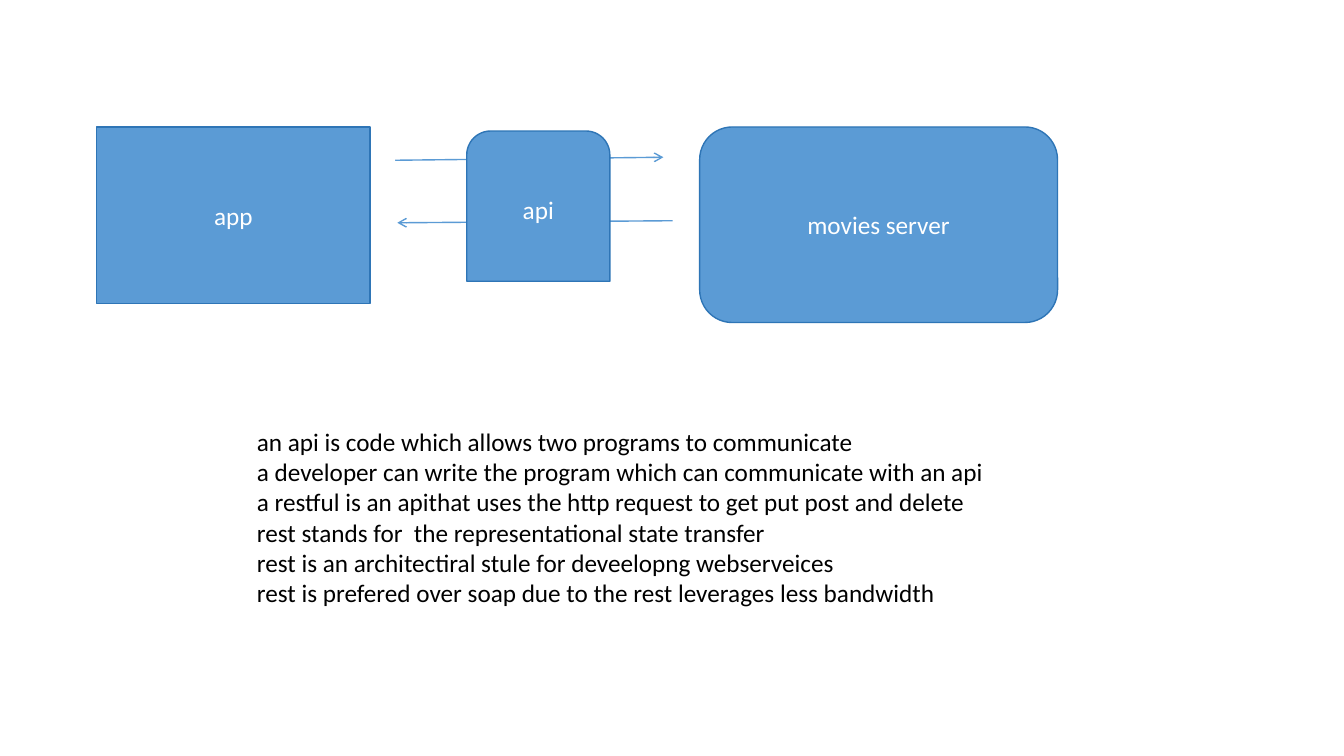
from lxml import etree
from pptx import Presentation
from pptx.dml.color import RGBColor
from pptx.enum.shapes import MSO_CONNECTOR, MSO_SHAPE
from pptx.enum.text import MSO_ANCHOR, MSO_AUTO_SIZE, PP_ALIGN
from pptx.oxml.ns import qn
from pptx.util import Inches, Pt

RECTANGLE = MSO_SHAPE.RECTANGLE
ROUNDED = MSO_SHAPE.ROUNDED_RECTANGLE
ROUNDED_TOP = MSO_SHAPE.ROUND_2_SAME_RECTANGLE
STRAIGHT = MSO_CONNECTOR.STRAIGHT
MIDDLE = MSO_ANCHOR.MIDDLE
CENTER = PP_ALIGN.CENTER
FIT_SHAPE = MSO_AUTO_SIZE.SHAPE_TO_FIT_TEXT

SLIDE_WIDTH = Inches(13.33)
SLIDE_HEIGHT = Inches(7.5)
BLUE, DARK_BLUE, WHITE, BLACK = "5B9BD5", "2E75B6", "FFFFFF", "000000"

API_NOTES = [
    "an api is code which allows two programs to communicate",
    "a developer can write the program which can communicate with an api",
    "a restful is an apithat uses the http request to get put post and delete",
    "rest stands for  the representational state transfer",
    "rest is an architectiral stule for deveelopng webserveices",
    "rest is prefered over soap due to the rest leverages less bandwidth",
]


def color(hex_value):
    return RGBColor.from_string(hex_value)


def place(*shares):
    """Turn alternating percentages of slide width and height into lengths."""
    sizes = (SLIDE_WIDTH, SLIDE_HEIGHT) * (len(shares) // 2)
    return [round(size * share / 100) for size, share in zip(sizes, shares)]


def set_font(paragraph, hex_value):
    paragraph.font.name = "Calibri"
    paragraph.font.size = Pt(18)
    paragraph.font.color.rgb = color(hex_value)


def add_node(slide, outline, label, *shares):
    node = slide.shapes.add_shape(outline, *place(*shares))
    node.shadow.inherit = False
    node.fill.solid()
    node.fill.fore_color.rgb = color(BLUE)
    node.line.color.rgb = color(DARK_BLUE)
    node.line.width = Pt(1)
    node.text_frame.vertical_anchor = MIDDLE
    paragraph = node.text_frame.paragraphs[0]
    paragraph.text = label
    paragraph.alignment = CENTER
    set_font(paragraph, WHITE)


def add_arrow(slide, *shares):
    arrow = slide.shapes.add_connector(STRAIGHT, *place(*shares))
    arrow.line.color.rgb = color(BLUE)
    arrow.line.width = Pt(1)
    etree.SubElement(arrow.line._get_or_add_ln(), qn("a:tailEnd"), type="arrow")
    etree.SubElement(arrow._element.spPr, qn("a:effectLst"))


def add_notes_text(slide, lines, *shares):
    """Add the explanation below the diagram, one paragraph a line."""
    frame = slide.shapes.add_textbox(*place(*shares)).text_frame
    frame.word_wrap = True
    frame.auto_size = FIT_SHAPE
    frame.text = "\n".join(lines)
    for paragraph in frame.paragraphs:
        set_font(paragraph, BLACK)


def main():
    presentation = Presentation()
    presentation.slide_width = SLIDE_WIDTH
    presentation.slide_height = SLIDE_HEIGHT
    slide = presentation.slides.add_slide(presentation.slide_layouts[6])

    add_node(slide, RECTANGLE, "app", 7.2, 16.8, 20.33, 23.33)
    add_node(slide, ROUNDED, "movies server", 52.06, 16.8, 26.63, 25.87)
    # The api node covers the middle of the request and response arrows.
    add_arrow(slide, 29.41, 21.2, 49.36, 20.8)
    add_arrow(slide, 50.04, 29.2, 29.56, 29.47)
    add_node(slide, ROUNDED_TOP, "api", 34.73, 17.33, 10.65, 19.87)
    add_notes_text(slide, API_NOTES, 18.38, 55.73, 56.04, 29.6)

    presentation.save("out.pptx")


if __name__ == "__main__":
    main()
